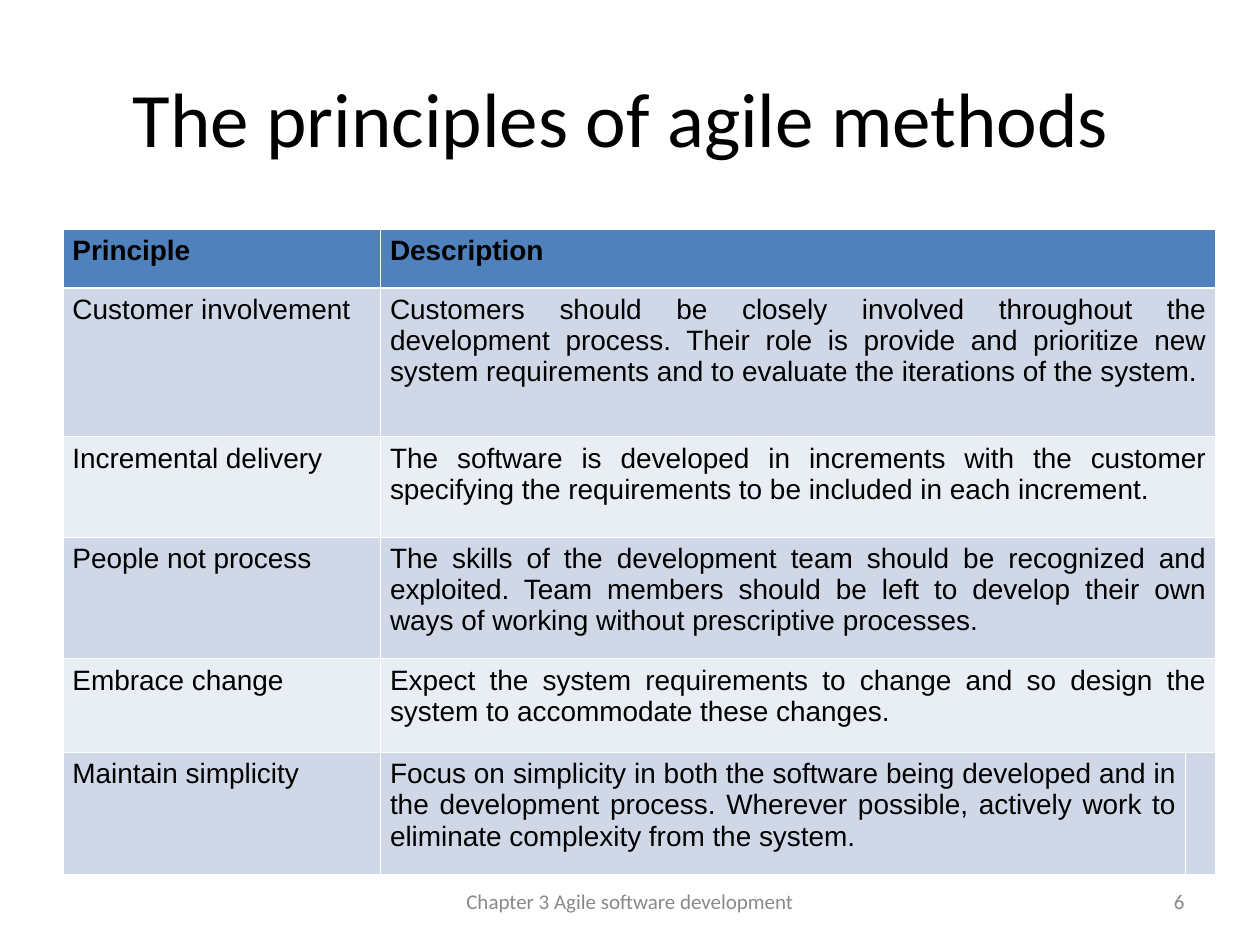
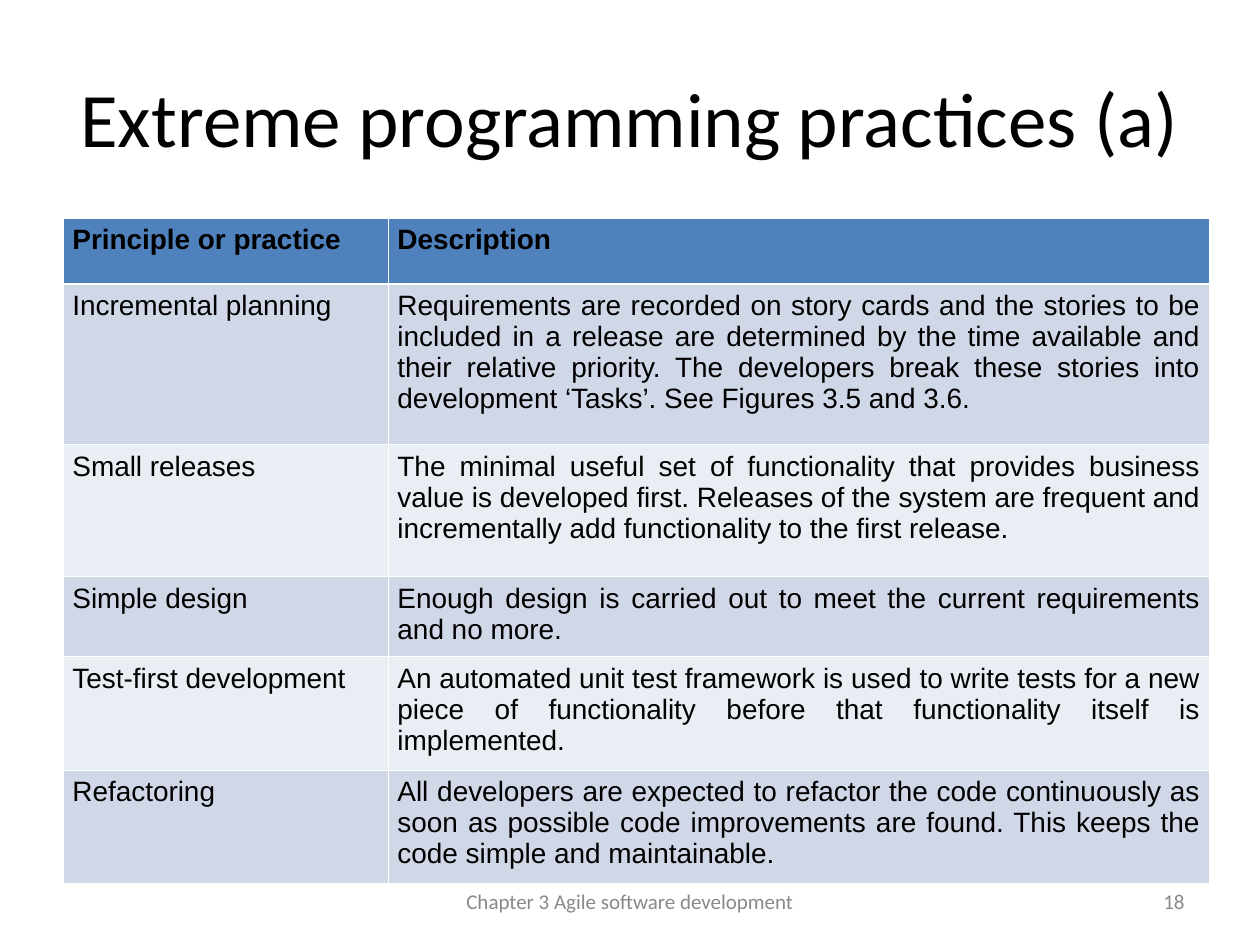
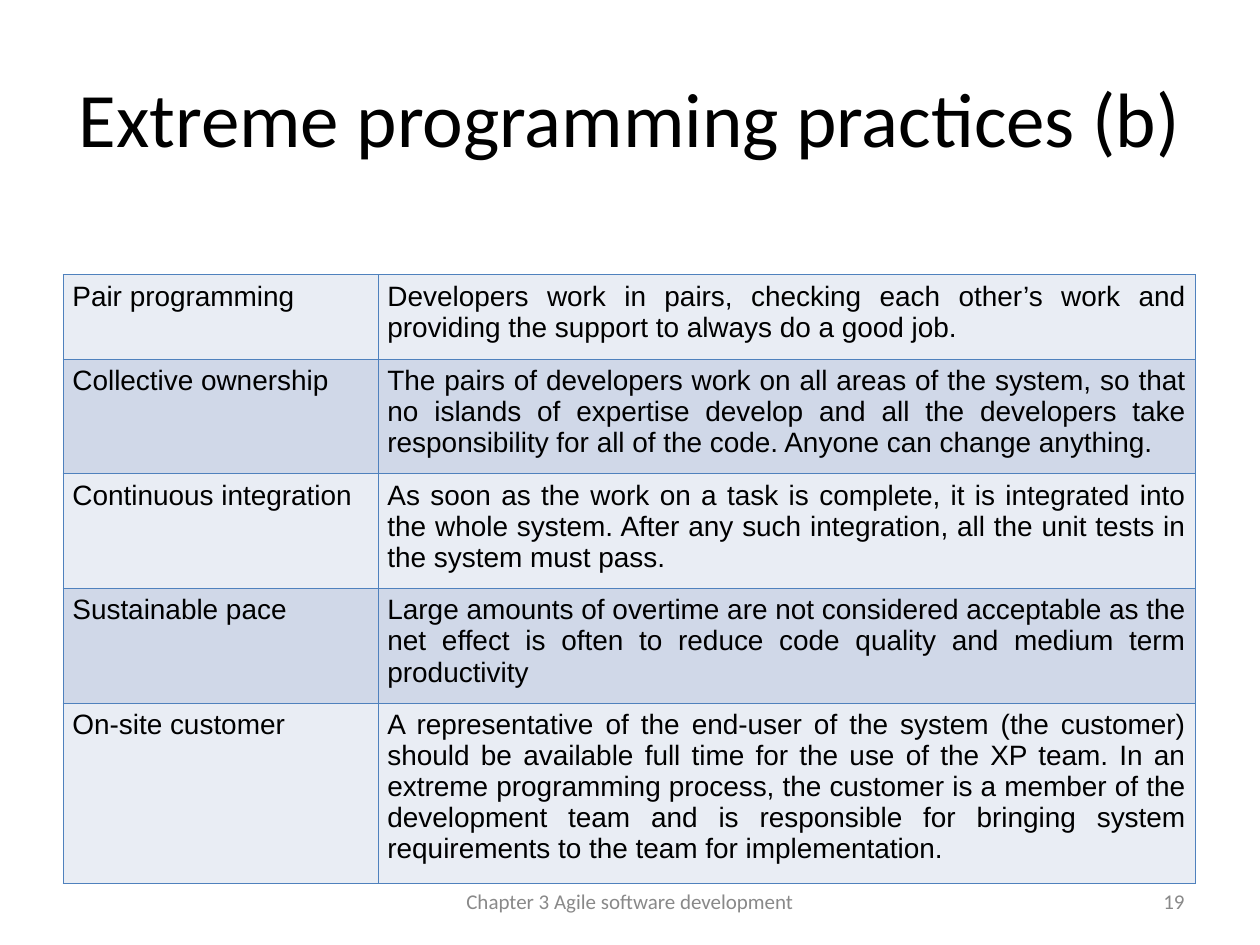
import dataclasses

import lxml.etree
import pptx
import pptx.dml.color
import pptx.enum.text
import pptx.oxml.ns
import pptx.util

Pt = pptx.util.Pt
Align = pptx.enum.text.PP_ALIGN
Anchor = pptx.enum.text.MSO_ANCHOR


@dataclasses.dataclass(frozen=True)
class Theme:
    text: str = "000000"
    muted: str = "898989"
    white: str = "FFFFFF"
    accent: str = "4F81BD"
    band_dark: str = "D0D8E8"
    band_light: str = "E9EDF4"
    title_font: str = "Calibri"
    table_font: str = "Arial"
    title_size: float = 44
    table_size: float = 16
    footer_size: float = 12
    thin_line: float = 0.45
    header_line: float = 1.47
    left: float = 36
    cell_margin: float = 5.4


FOOTER = "Chapter 3 Agile software development"


class Deck:
    def __init__(self, theme):
        self.theme = theme
        self.presentation = pptx.Presentation()
        self.presentation.slide_width = Pt(720)
        self.presentation.slide_height = Pt(540)
        self.slide = None

    def add_slide(self):
        self.slide = self.presentation.slides.add_slide(self.presentation.slide_layouts[6])

    def add_text(self, paragraph, text, font, size, color, align, bold=False):
        paragraph.alignment = align
        run = paragraph.add_run()
        run.text = text
        run.font.name = font
        run.font.size = Pt(size)
        run.font.bold = bold
        run.font.color.rgb = pptx.dml.color.RGBColor.from_string(color)

    def text_box(self, box, text, size, color, align):
        shape = self.slide.shapes.add_textbox(*map(Pt, box))
        frame = shape.text_frame
        frame.word_wrap = True
        frame.vertical_anchor = Anchor.MIDDLE
        self.add_text(frame.paragraphs[0], text, self.theme.title_font, size, color, align)

    def title(self, text):
        box = (self.theme.left, 21.6, 648, 90)
        self.text_box(box, text, self.theme.title_size, self.theme.text, Align.CENTER)

    def footer(self, number):
        size, color = self.theme.footer_size, self.theme.muted
        self.text_box((516, 500.5, 168, 28.8), str(number), size, color, Align.RIGHT)
        self.text_box((246, 500.5, 228, 28.8), FOOTER, size, color, Align.CENTER)

    def borders(self, cell, color, top, bottom):
        properties = cell._tc.get_or_add_tcPr()
        widths = {"L": self.theme.thin_line, "R": self.theme.thin_line, "T": top, "B": bottom}
        for index, (side, width) in enumerate(widths.items()):
            line = lxml.etree.Element(pptx.oxml.ns.qn(f"a:ln{side}"), w=str(Pt(width)))
            fill = lxml.etree.SubElement(line, pptx.oxml.ns.qn("a:solidFill"))
            lxml.etree.SubElement(fill, pptx.oxml.ns.qn("a:srgbClr"), val=color)
            properties.insert(index, line)

    def table(self, top, columns, heights, rows, line_color, header=True):
        theme = self.theme
        box = (theme.left, top, sum(columns), sum(heights))
        table = self.slide.shapes.add_table(len(rows), len(columns), *map(Pt, box)).table
        table.first_row = header
        table.horz_banding = False
        for column, width in zip(table.columns, columns):
            column.width = Pt(width)
        for index, (row, height, texts) in enumerate(zip(table.rows, heights, rows)):
            row.height = Pt(height)
            is_header = header and index == 0
            band = theme.band_dark if index % 2 else theme.band_light
            top_line = theme.header_line if header and index == 1 else theme.thin_line
            bottom_line = theme.header_line if is_header else theme.thin_line
            for cell in row.cells:
                cell.fill.solid()
                cell.fill.fore_color.rgb = pptx.dml.color.RGBColor.from_string(
                    theme.accent if is_header else band)
                self.borders(cell, line_color, top_line, bottom_line)
            for cell, text in zip(row.cells, texts):
                cell.margin_left = cell.margin_right = Pt(theme.cell_margin)
                self.add_text(cell.text_frame.paragraphs[0], text, theme.table_font,
                              theme.table_size, theme.text, Align.JUSTIFY, is_header)
        return table


PRINCIPLES = [
    ("Principle", "Description"),
    ("Customer involvement ",
     "Customers should be closely involved throughout the development process. Their role is "
     "provide and prioritize new system requirements and to evaluate the iterations of the system."),
    ("Incremental delivery",
     "The software is developed in increments with the customer specifying the requirements "
     "to be included in each increment."),
    ("People not process",
     "The skills of the development team should be recognized and exploited. Team members "
     "should be left to develop their own ways of working without prescriptive processes."),
    ("Embrace change",
     "Expect the system requirements to change and so design the system to accommodate "
     "these changes."),
    ("Maintain simplicity",
     "Focus on simplicity in both the software being developed and in the development process. "
     "Wherever possible, actively work to eliminate complexity from the system."),
]

PRACTICES_A = [
    ("Principle or practice", "Description"),
    ("Incremental planning",
     "Requirements are recorded on story cards and the stories to be included in a release are "
     "determined by the time available and their relative priority. The developers break these "
     "stories into development ‘Tasks’. See Figures 3.5 and 3.6."),
    ("Small releases",
     "The minimal useful set of functionality that provides business value is developed first. "
     "Releases of the system are frequent and incrementally add functionality to the first release."),
    ("Simple design ",
     "Enough design is carried out to meet the current requirements and no more."),
    ("Test-first development",
     "An automated unit test framework is used to write tests for a new piece of functionality "
     "before that functionality itself is implemented."),
    ("Refactoring",
     "All developers are expected to refactor the code continuously as soon as possible code "
     "improvements are found. This keeps the code simple and maintainable."),
]

PRACTICES_B = [
    ("Pair programming",
     "Developers work in pairs, checking each other’s work and providing the support to always "
     "do a good job."),
    ("Collective ownership",
     "The pairs of developers work on all areas of the system, so that no islands of expertise "
     "develop and all the developers take responsibility for all of the code. Anyone can change "
     "anything."),
    ("Continuous integration",
     "As soon as the work on a task is complete, it is integrated into the whole system. After "
     "any such integration, all the unit tests in the system must pass."),
    ("Sustainable pace",
     "Large amounts of overtime are not considered acceptable as the net effect is often to "
     "reduce code quality and medium term productivity"),
    ("On-site customer",
     "A representative of the end-user of the system (the customer) should be available full "
     "time for the use of the XP team. In an extreme programming process, the customer is a "
     "member of the development team and is responsible for bringing system requirements to "
     "the team for implementation."),
]


def main():
    theme = Theme()
    deck = Deck(theme)

    # Agile principles: the description spans two columns except in the last row
    deck.add_slide()
    deck.title("The principles of agile methods ")
    table = deck.table(131, (181.5, 460, 10), (33.5, 85, 57.5, 69.5, 53.5, 69.5),
                       PRINCIPLES, theme.white)
    for index in range(len(PRINCIPLES) - 1):
        table.cell(index, 1).merge(table.cell(index, 2))
    deck.footer(6)

    # Extreme programming practices, first part
    deck.add_slide()
    deck.title("Extreme programming practices (a) ")
    deck.table(124.6, (185.75, 469.5), (37.5, 92, 75.5, 45.5, 64.75, 64.75),
               PRACTICES_A, theme.white)
    deck.footer(18)

    # Extreme programming practices, second part
    deck.add_slide()
    deck.title("Extreme programming practices (b)")
    deck.table(157, (180, 467), (48.25, 65.5, 65.5, 65.5, 103),
               PRACTICES_B, theme.accent, header=False)
    deck.footer(19)

    deck.presentation.save("out.pptx")


if __name__ == "__main__":
    main()
